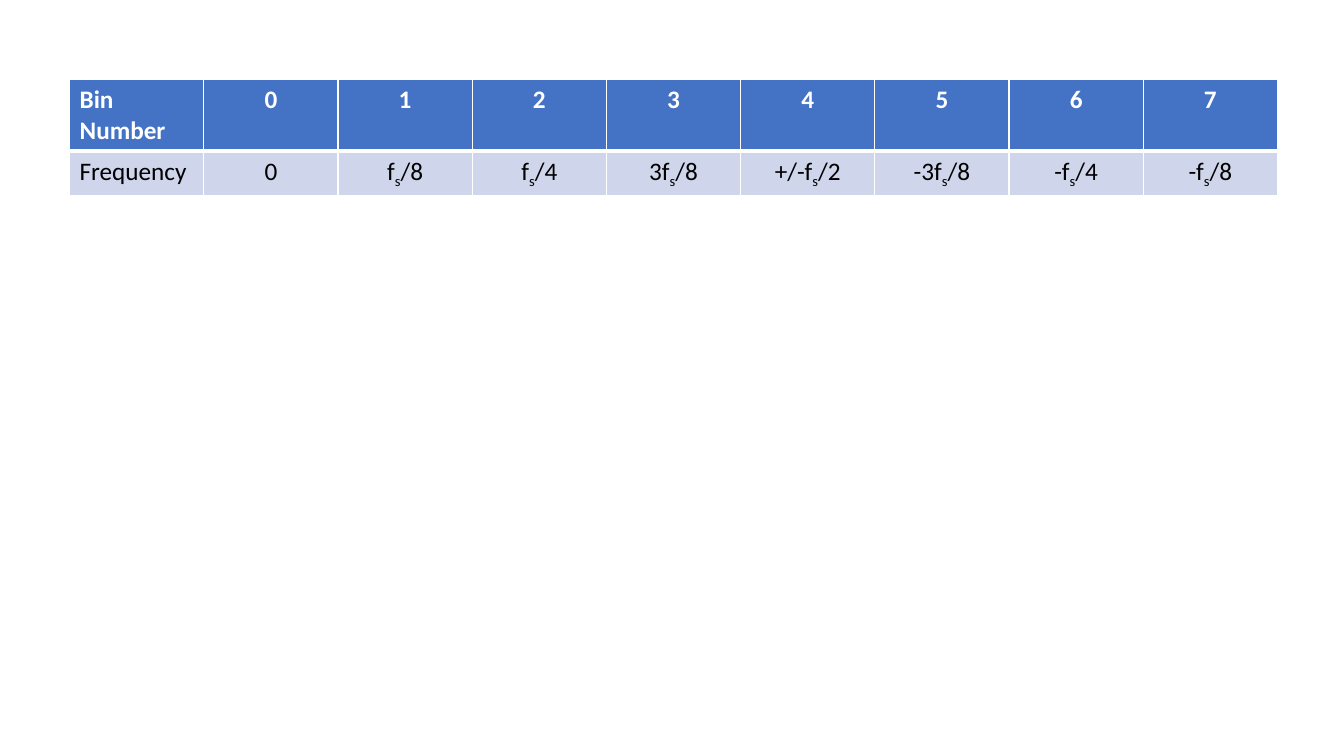
from dataclasses import dataclass

from lxml.etree import SubElement
from pptx import Presentation
from pptx.dml.color import RGBColor as Rgb
from pptx.enum.text import PP_ALIGN as Align
from pptx.oxml.ns import qn
from pptx.table import _Cell as Cell
from pptx.util import Inches, Pt

COLORS = {"head": "4472C4", "band": "CFD5EA", "white": "FFFFFF", "black": "000000"}
FONT = "Calibri"
SUB = "s"


@dataclass
class Row:
    label: str
    values: list[str]
    fill: str
    ink: str
    bold: bool
    height: float
    top: int
    bottom: int


ROWS = [
    Row("Bin Number", [str(n) for n in range(8)],
        "head", "white", True, 0.7, 1, 3),
    Row("Frequency",
        ["0", "fs/8", "fs/4", "3fs/8", "+/-fs/2", "-3fs/8", "-fs/4", "-fs/8"],
        "band", "black", False, 0.41, 3, 1),
]
COLS = 1 + len(ROWS[0].values)
LEFT, TOP, WIDTH = 0.69, 0.79, 11.98


def edge(cell: Cell, side: str, width: int) -> None:
    props = cell._tc.get_or_add_tcPr()
    line = SubElement(props, qn(f"a:ln{side}"), w=str(Pt(width)))
    fill = SubElement(line, qn("a:solidFill"))
    SubElement(fill, qn("a:srgbClr"), val=COLORS["white"])


def write(cell: Cell, text: str, row: Row, align: Align) -> None:
    para = cell.text_frame.paragraphs[0]
    para.alignment = align
    head, mark, tail = text.partition(SUB) if "/" in text else (text, "", "")
    for part in filter(None, (head, mark, tail)):
        run = para.add_run()
        run.text = part
        font = run.font
        font.name, font.size, font.bold = FONT, Pt(18), row.bold
        font.color.rgb = Rgb.from_string(COLORS[row.ink])
        if part == SUB:
            font._element.set("baseline", "-25000")


def style(cell: Cell, row: Row) -> None:
    for side, width in zip("LRTB", (1, 1, row.top, row.bottom)):
        edge(cell, side, width)
    cell.fill.solid()
    cell.fill.fore_color.rgb = Rgb.from_string(COLORS[row.fill])


deck = Presentation()
deck.slide_width, deck.slide_height = Inches(13.33), Inches(7.5)
slide = deck.slides.add_slide(deck.slide_layouts[6])
height = sum(row.height for row in ROWS)
table = slide.shapes.add_table(
    len(ROWS), COLS, Inches(LEFT), Inches(TOP), Inches(WIDTH), Inches(height)
).table

for r, row in enumerate(ROWS):
    table.rows[r].height = Inches(row.height)
    for c, text in enumerate([row.label, *row.values]):
        cell = table.cell(r, c)
        style(cell, row)
        write(cell, text, row, Align.CENTER if c else Align.LEFT)

deck.save("out.pptx")
